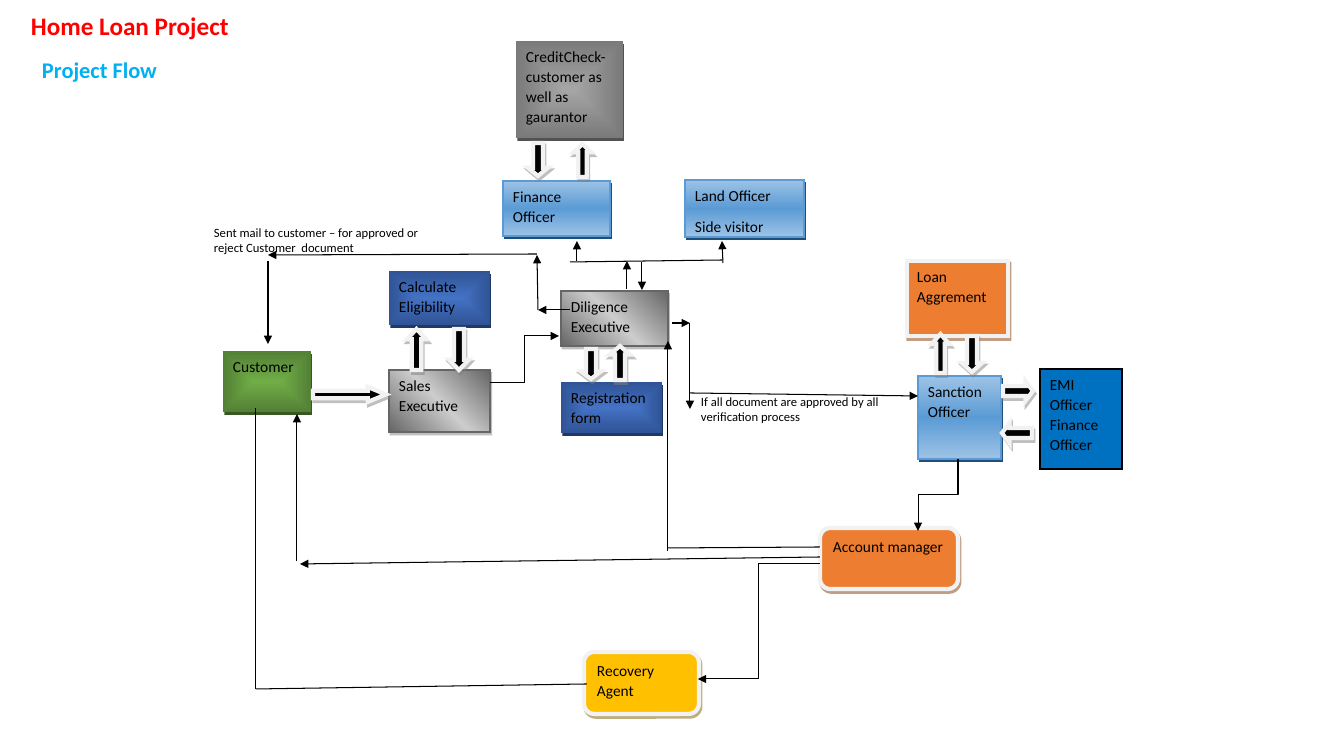
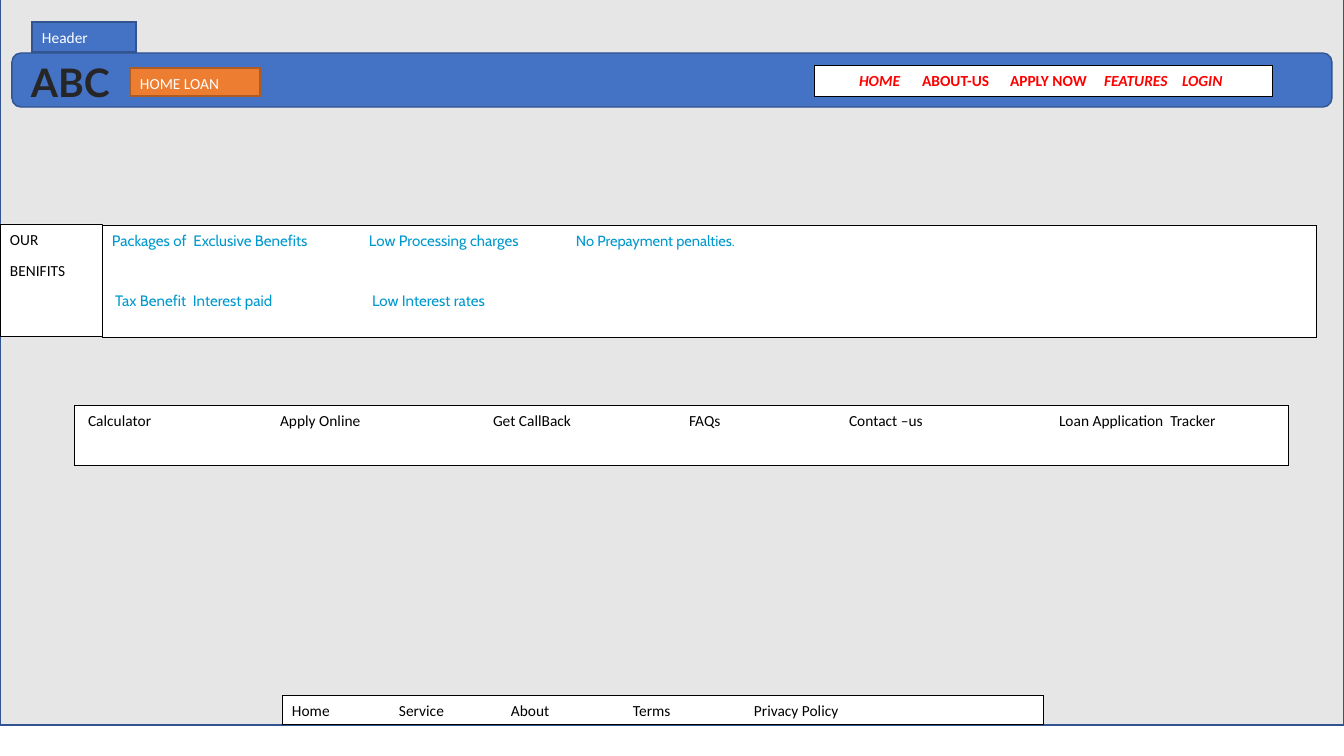
from lxml import etree
from pptx import Presentation
from pptx.dml.color import RGBColor
from pptx.enum.shapes import MSO_CONNECTOR, MSO_SHAPE
from pptx.enum.text import MSO_ANCHOR, PP_ALIGN
from pptx.oxml.ns import qn
from pptx.util import Emu, Pt

RECT, ROUND = MSO_SHAPE.RECTANGLE, MSO_SHAPE.ROUNDED_RECTANGLE
UP, DOWN = MSO_SHAPE.UP_ARROW, MSO_SHAPE.DOWN_ARROW
LEFT, RIGHT = MSO_SHAPE.LEFT_ARROW, MSO_SHAPE.RIGHT_ARROW
STRAIGHT, ELBOW = MSO_CONNECTOR.STRAIGHT, MSO_CONNECTOR.ELBOW
TOP, ALIGN_LEFT = MSO_ANCHOR.TOP, PP_ALIGN.LEFT

SCALE = 914400 / 100.8
WIDTH, HEIGHT = 1344, 756
INSET = 10
FONT = "Calibri"

C = {
    "black": "000000", "white": "FFFFFF", "red": "FF0000", "sky": "00B0F0",
    "page": "E7E6E6", "blue": "4472C4", "blue_line": "325491",
    "orange": "ED7D31", "orange_line": "AF5C24", "orange_dark": "843C0B",
    "gold": "FFC000", "gold_dark": "806000", "rim": "F2F2F2",
    "shade": "808080", "emi": "0070C0", "cyan": "0199CD", "ink": "262626",
}

# Node looks: fill (a colour name, or gradient stops with an angle, None
# meaning from the centre), line colour and width, shadow colour and opacity
CENTRE = None
STYLES = {
    "grey": (([(0, "A5A5A5"), (100, "7A7A7A")], CENTRE), None, ("525252", 100)),
    "navy": (([(0, "4472C4"), (100, "2F5395")], CENTRE), None, ("203864", 100)),
    "green": (([(0, "70AD47"), (100, "538035")], CENTRE), None, ("385723", 100)),
    "steel": (([(0, "666666"), (50, "CCCCCC"), (100, "666666")], 315),
              ("666666", 1), (C["shade"], 50)),
    "light": (([(0, "9DC3E6"), (50, "5B9BD5"), (100, "9DC3E6")], 90),
              ("5B9BD5", 1), ("1F4E79", 100)),
    "orange": ("orange", (C["rim"], 3), (C["orange_dark"], 50)),
    "gold": ("gold", (C["rim"], 3), (C["gold_dark"], 50)),
    "emi": ("emi", (C["black"], 1), None),
    "arrow": ("black", (C["rim"], 3), (C["shade"], 50)),
    "band": ("blue", (C["blue_line"], 1), None),
    "page": ("page", (C["blue_line"], 1), None),
    "button": ("orange", (C["orange_line"], 1), None),
    "panel": ("white", (C["black"], 0.5), None),
}


def px(n):
    return Emu(round(n * SCALE))


def rgb(value):
    return RGBColor.from_string(value)


def child(parent, tag, **attrs):
    el = etree.SubElement(parent, qn(tag))
    for key, value in attrs.items():
        el.set(key, str(value))
    return el


def gradient(sp, stops, angle):
    grad = child(sp._element.spPr, "a:gradFill", rotWithShape=1)
    stop_list = child(grad, "a:gsLst")
    for pos, colour in stops:
        stop = child(stop_list, "a:gs", pos=pos * 1000)
        child(stop, "a:srgbClr", val=colour)
    if angle is CENTRE:
        path = child(grad, "a:path", path="shape")
        child(path, "a:fillToRect", l=50000, t=50000, r=50000, b=50000)
    else:
        child(grad, "a:lin", ang=angle * 60000, scaled=1)


def shape(s, kind, x, y, w, h, style):
    """Add a preset shape in one of the shared looks."""
    fill, line, shadow = STYLES[style]
    sp = s.shapes.add_shape(kind, px(x), px(y), px(w), px(h))
    if isinstance(fill, str):
        sp.fill.solid()
        sp.fill.fore_color.rgb = rgb(C[fill])
    else:
        gradient(sp, *fill)
    if line:
        sp.line.color.rgb = rgb(line[0])
        sp.line.width = Pt(line[1])
        child(sp._element.spPr.find(qn("a:ln")), "a:miter", lim=800000)
    else:
        sp.line.fill.background()
    sp.shadow.inherit = False
    if shadow:
        effects = sp._element.spPr.find(qn("a:effectLst"))
        outer = child(effects, "a:outerShdw", blurRad=0, dist=Pt(2.2),
                      dir=63 * 60000, algn="ctr", rotWithShape=0)
        colour = child(outer, "a:srgbClr", val=shadow[0])
        child(colour, "a:alpha", val=shadow[1] * 1000)
    return sp


def write(sp, paragraphs, size=11, colour="black", font=FONT, bold=None,
          spacing=1.08, after=8, tabs=(), inset=INSET):
    """Fill a shape; a paragraph is a string or a list of runs."""
    tf = sp.text_frame
    tf.word_wrap = True
    tf.vertical_anchor = TOP
    tf.margin_left = px(inset)
    for i, runs in enumerate(paragraphs):
        p = tf.paragraphs[0] if i == 0 else tf.add_paragraph()
        p.alignment = ALIGN_LEFT
        p.line_spacing = spacing
        p.space_after = Pt(after)
        if tabs:
            tab_list = child(p._p.get_or_add_pPr(), "a:tabLst")
            for tab in tabs:
                child(tab_list, "a:tab", pos=px(tab), algn="l")
        p.font.name = font
        p.font.size = Pt(size)
        p.font.bold = bold
        p.font.color.rgb = rgb(C[colour])
        for text in [runs] if isinstance(runs, str) else runs:
            p.add_run().text = text
    return tf.paragraphs


def text_box(s, x, y, w, h, paragraphs, **look):
    return write(s.shapes.add_textbox(px(x), px(y), px(w), px(h)),
                 paragraphs, **look)


def connector(s, x1, y1, x2, y2, head=True, kind=STRAIGHT, turned=False):
    """Add a thin line; a turned elbow leaves and arrives vertically."""
    if turned:
        cx, cy = (x1 + x2) / 2, (y1 + y2) / 2
        half_w, half_h = abs(y2 - y1) / 2, abs(x2 - x1) / 2
        x1, x2, y1, y2 = cx - half_w, cx + half_w, cy - half_h, cy + half_h
    c = s.shapes.add_connector(kind, px(x1), px(y1), px(x2), px(y2))
    c.line.color.rgb = rgb(C["black"])
    c.line.width = Pt(0.75)
    if turned:
        c._element.spPr.find(qn("a:xfrm")).set("rot", str(90 * 60000))
    if head:
        child(c._element.spPr.find(qn("a:ln")), "a:tailEnd", type="triangle")
    child(c._element.spPr, "a:effectLst")


# Slide 1: flow chart
NODES = [
    (RECT, 516, 41, 107, 97, "grey", ["CreditCheck-customer as well as gaurantor"]),
    (RECT, 389, 370, 101, 62, "steel", ["Sales Executive"]),
    (RECT, 389, 271, 101, 54, "navy", ["Calculate Eligibility"]),
    (RECT, 561, 291, 107, 55, "steel", ["Diligence Executive"]),
    (RECT, 561, 382, 101, 51, "navy", ["Registration form"]),
    (RECT, 685, 180, 119, 57, "light", ["Land Officer", "Side visitor"]),
    (RECT, 503, 181, 107, 55, "light", ["Finance Officer"]),
    (RECT, 223, 351, 88, 61, "green", ["Customer"]),
    (RECT, 918, 376, 83, 83, "light", ["Sanction Officer"]),
    (RECT, 907, 261, 101, 75, "orange", ["Loan Aggrement"]),
    (ROUND, 820, 528, 138, 61, "orange", ["Account manager"]),
    (ROUND, 584, 652, 115, 62, "gold", ["Recovery Agent"]),
    (RECT, 1040, 369, 82, 100, "emi", ["EMI Officer Finance Officer"]),
]
BLOCK_ARROWS = [
    (DOWN, 449, 329, 20, 41), (UP, 407, 329, 19, 41),
    (DOWN, 528, 143, 20, 33), (UP, 574, 144, 17, 33),
    (UP, 610, 346, 20, 34), (DOWN, 581, 349, 20, 30),
    (RIGHT, 313, 387, 73, 15),
    (DOWN, 962, 336, 20, 36), (UP, 932, 334, 17, 39),
    (LEFT, 1002, 423, 30, 20), (RIGHT, 1003, 381, 30, 20),
]
ARROWS = [
    (268, 261, 268, 344), (577, 261, 577, 241), (690, 393, 918, 396),
    (668, 551, 668, 341), (672, 323, 690, 323), (690, 323, 690, 409),
    (723, 263, 722, 241), (627, 289, 627, 261), (820, 557, 300, 564),
    (297, 561, 297, 414), (642, 262, 642, 290), (537, 254, 268, 255),
    (538, 310, 537, 255), (570, 310, 538, 310),
]
PLAIN_LINES = [(820, 547, 668, 548), (587, 684, 256, 689),
               (256, 689, 256, 408), (570, 262, 723, 260)]
ELBOWS = [(490, 383, 559, 336, False), (820, 564, 698, 679, False),
          (958, 459, 918, 531, True)]
NOTES = [
    (204, 220, "Sent mail to customer – for approved or reject Customer  document"),
    (691, 389, "If all document are approved by all verification process"),
]


def titles(s, x, y, w, h):
    title, subtitle = text_box(
        s, x, y, w, h, ["Home Loan Project", "Project Flow"],
        size=18, colour="red", bold=True, spacing=1.07)
    subtitle.font.size = Pt(16)
    subtitle.font.color.rgb = rgb(C["sky"])
    subtitle.space_before = Pt(2)
    subtitle._p.get_or_add_pPr().set("marL", str(px(11)))


def flow_chart(s, x, y):
    for kind, left, top, w, h, style, words in NODES:
        write(shape(s, kind, x + left, y + top, w, h, style), words)
    for kind, left, top, w, h in BLOCK_ARROWS:
        sp = shape(s, kind, x + left, y + top, w, h, "arrow")
        sp.adjustments[1] = max(w, h) / min(w, h) / 4
    for lines, head in ((ARROWS, True), (PLAIN_LINES, False)):
        for x1, y1, x2, y2 in lines:
            connector(s, x + x1, y + y1, x + x2, y + y2, head)
    for x1, y1, x2, y2, turned in ELBOWS:
        connector(s, x + x1, y + y1, x + x2, y + y2, kind=ELBOW, turned=turned)
    for left, top, words in NOTES:
        text_box(s, x + left, y + top, 233, 40, [words],
                 size=9, spacing=1, after=0)


# Slide 2: web page layout
def menu(s, x, y, w, h, items, tabs, inset=INSET, **look):
    """One white bar whose items stand at tab stops."""
    runs = [items[0]] + ["\t" + item for item in items[1:]]
    bar = shape(s, RECT, x, y, w, h, "panel")
    return write(bar, [runs], tabs=tabs, inset=inset, **look)[0]


def header(s, x, y, w, h):
    shape(s, ROUND, x, y, w, h, "band")
    write(shape(s, RECT, x + 20, y - 31, 104, 30, "band"), ["Header"],
          colour="white")
    nav = menu(s, x + 802, y + 12, 458, 31,
               ["HOME", "ABOUT-US", "APPLY NOW", "FEATURES", "LOGIN"],
               (63, 151, 245, 323), inset=45, colour="red", bold=True)
    for i in (0, 3, 4):
        nav.runs[i].font.italic = True
    write(shape(s, RECT, x + 118, y + 15, 130, 28, "button"), ["HOME LOAN"],
          colour="white")
    text_box(s, x + 9, y, 177, 57, ["ABC"], size=28, colour="ink",
             font="Lato", bold=True, spacing=1, after=0)


def benefits(s, x, y, w, h):
    label_w = 102
    write(shape(s, RECT, x, y, label_w, h, "panel"), ["OUR", "BENIFITS"])
    panel = shape(s, RECT, x + label_w, y + 1, w - label_w, h, "panel")
    first, second = write(
        panel,
        [["Packages of  Exclusive Benefits", "\tLow Processing charges",
          "\tNo Prepayment penalties."],
         ["Tax Benefit  Interest paid", "\tLow Interest rates"]],
        size=10.8, colour="cyan", font="Cabin", tabs=(257, 464))
    first.runs[2].font.size = Pt(10.5)
    second.space_before = Pt(22)
    second.line_spacing = 1
    second._p.get_or_add_pPr().set("marL", str(px(3)))


def flow_slide(s):
    titles(s, 21, 3, 672, 86)
    flow_chart(s, 0, 0)


def page_slide(s):
    shape(s, RECT, 0, -31, WIDTH, HEIGHT, "page")
    header(s, 12, 53, 1320, 54)
    menu(s, 74, 405, 1214, 60,
         ["Calculator", "Apply Online", "Get CallBack", "FAQs",
          "Contact –us", "Loan Application  Tracker"],
         (192, 405, 601, 761, 971), inset=14)
    benefits(s, 0, 224, 1316, 112)
    menu(s, 282, 695, 761, 29,
         ["Home", "Service", "About", "Terms", "Privacy Policy"],
         (107, 219, 341, 462))


prs = Presentation()
prs.slide_width, prs.slide_height = px(WIDTH), px(HEIGHT)
for build in (flow_slide, page_slide):
    build(prs.slides.add_slide(prs.slide_layouts[6]))
prs.save("out.pptx")
